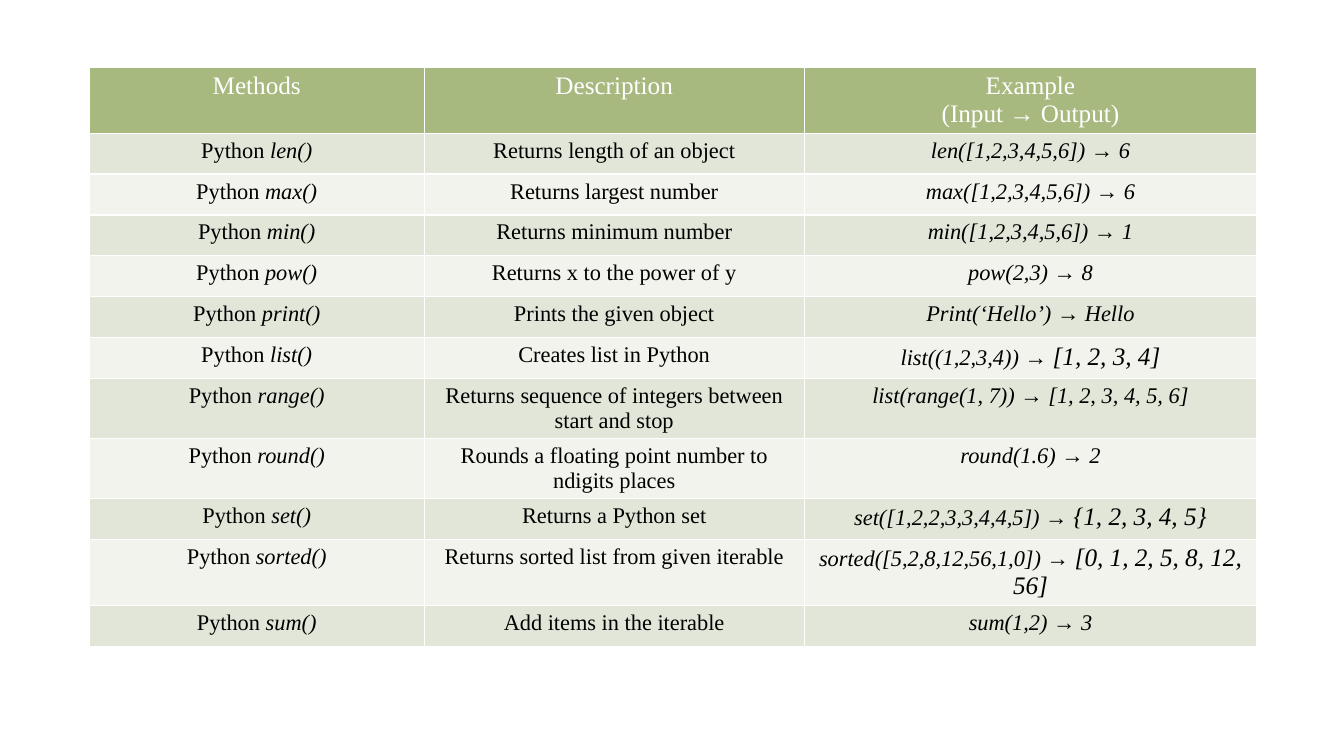
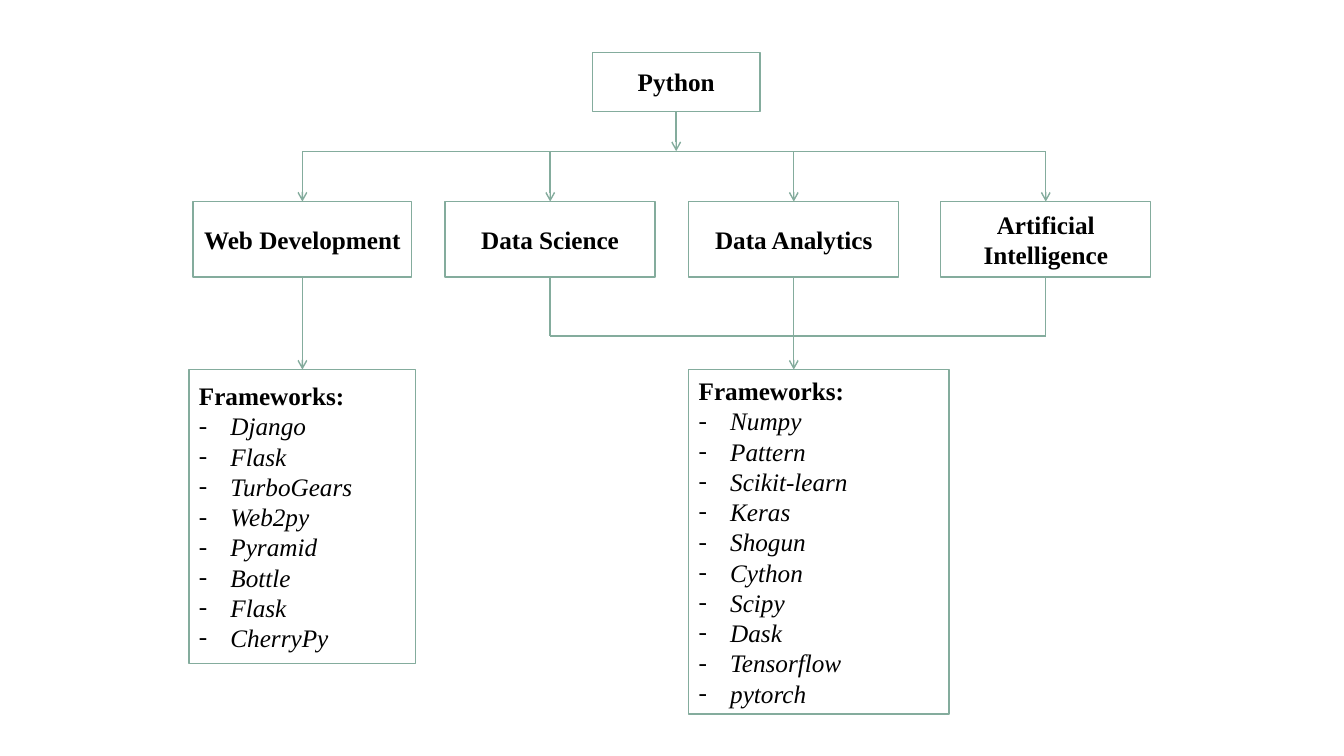
from dataclasses import dataclass

from lxml import etree
from pptx import Presentation
from pptx.dml.color import RGBColor
from pptx.enum.shapes import MSO_CONNECTOR, MSO_SHAPE
from pptx.enum.text import MSO_ANCHOR, PP_ALIGN
from pptx.oxml.ns import qn
from pptx.util import Pt

EMU_PER_PX = 9525
FONT = "Times New Roman"
COLORS = {
    "white": "FFFFFF",
    "black": "000000",
    "header": "A8B97F",
    "odd_row": "E1E6D8",
    "even_row": "F1F3EC",
    "line": "84AC9D",
}
RECTANGLE = MSO_SHAPE.RECTANGLE
STRAIGHT = MSO_CONNECTOR.STRAIGHT
CENTER, LEFT = PP_ALIGN.CENTER, PP_ALIGN.LEFT
MIDDLE = MSO_ANCHOR.MIDDLE
HEADING_SIZE, BODY_SIZE = 18, 16
BULLET_INDENT = 30


@dataclass(frozen=True)
class Method:
    name: str
    description: str
    call: str
    result: str
    result_size: int = BODY_SIZE


@dataclass(frozen=True)
class Box:
    left: int
    top: int
    width: int
    height: int
    title: str
    items: tuple[str, ...] = ()


@dataclass(frozen=True)
class Line:
    x1: int
    y1: int
    x2: int
    y2: int
    arrow: bool = False


HEADERS = ("Methods", "Description", "Example\n(Input → Output)")
TABLE_LEFT, TABLE_TOP = 85, 64
COLUMN_WIDTHS = (319, 362, 431)
ROW_HEIGHT = 39
METHODS = (
    Method("len()", "Returns length of an object", "len([1,2,3,4,5,6])", "6"),
    Method("max()", "Returns largest number", "max([1,2,3,4,5,6])", "6"),
    Method("min()", "Returns minimum number", "min([1,2,3,4,5,6])", "1"),
    Method("pow()", "Returns x to the power of y", "pow(2,3)", "8"),
    Method("print()", "Prints the given object", "Print(‘Hello’)", "Hello"),
    Method("list()", "Creates list in Python", "list((1,2,3,4))", "[1, 2, 3, 4]", HEADING_SIZE),
    Method("range()", "Returns sequence of integers between start and stop",
           "list(range(1, 7))", "[1, 2, 3, 4, 5, 6]"),
    Method("round()", "Rounds a floating point number to ndigits places", "round(1.6)", "2"),
    Method("set()", "Returns a Python set", "set([1,2,2,3,3,4,4,5])", "{1, 2, 3, 4, 5}", HEADING_SIZE),
    Method("sorted()", "Returns sorted list from given iterable",
           "sorted([5,2,8,12,56,1,0])", "[0, 1, 2, 5, 8, 12, 56]", HEADING_SIZE),
    Method("sum()", "Add items in the iterable", "sum(1,2)", "3"),
)

ROOT_TOP, ROOT_HEIGHT = 50, 56
BUS_TOP, FIELD_TOP, FIELD_HEIGHT = 144, 192, 72
FIELD_BOTTOM = FIELD_TOP + FIELD_HEIGHT
MERGE_TOP, FRAMEWORK_TOP = 320, 352
ROOT_CENTER = 644
FIELD_CENTERS = (288, 524, 756, 996)
WEB, SCIENCE, ANALYTICS, INTELLIGENCE = FIELD_CENTERS
FIELDS = (
    ("Web Development", 208),
    ("Data Science", 200),
    ("Data Analytics", 200),
    ("Artificial Intelligence", 200),
)
BOXES = (
    Box(564, ROOT_TOP, 160, ROOT_HEIGHT, "Python"),
    *(Box(center - width // 2, FIELD_TOP, width, FIELD_HEIGHT, title)
      for center, (title, width) in zip(FIELD_CENTERS, FIELDS)),
    Box(180, FRAMEWORK_TOP, 216, 280, "Frameworks:",
        ("Django", "Flask", "TurboGears", "Web2py", "Pyramid", "Bottle", "Flask", "CherryPy")),
    Box(656, FRAMEWORK_TOP, 248, 328, "Frameworks:",
        ("Numpy", "Pattern", "Scikit-learn", "Keras", "Shogun", "Cython", "Scipy", "Dask",
         "Tensorflow", "pytorch")),
)
LINES = (
    Line(WEB, BUS_TOP, INTELLIGENCE, BUS_TOP),
    Line(ROOT_CENTER, ROOT_TOP + ROOT_HEIGHT, ROOT_CENTER, BUS_TOP, True),
    *(Line(x, BUS_TOP, x, FIELD_TOP, True) for x in FIELD_CENTERS),
    Line(WEB, FIELD_BOTTOM, WEB, FRAMEWORK_TOP, True),
    Line(SCIENCE, MERGE_TOP, INTELLIGENCE, MERGE_TOP),
    Line(ANALYTICS, MERGE_TOP, ANALYTICS, FRAMEWORK_TOP, True),
    *(Line(x, FIELD_BOTTOM, x, MERGE_TOP) for x in FIELD_CENTERS[1:]),
)


def px(length: int) -> int:
    return length * EMU_PER_PX


def rgb(name: str) -> RGBColor:
    return RGBColor.from_string(COLORS[name])


def paint(shape, name: str) -> None:
    shape.fill.solid()
    shape.fill.fore_color.rgb = rgb(name)


def style_span(span, size: int, color: str = "black", bold: bool = False, italic: bool = False) -> None:
    font = span.font
    font.name, font.size = FONT, Pt(size)
    font.bold, font.italic = bold, italic
    font.color.rgb = rgb(color)


def add_span(para, text: str, size: int, italic: bool = False) -> None:
    span = para.add_run()
    span.text = text
    style_span(span, size, italic=italic)


def add_bullet(para) -> None:
    properties = para._p.get_or_add_pPr()
    properties.set("marL", str(px(BULLET_INDENT)))
    properties.set("indent", str(-px(BULLET_INDENT)))
    etree.SubElement(properties, qn("a:buFont")).set("typeface", FONT)
    etree.SubElement(properties, qn("a:buChar")).set("char", "-")


def fill_header(cell, text: str) -> None:
    paint(cell, "header")
    cell.text_frame.text = text
    for para in cell.text_frame.paragraphs:
        para.alignment = CENTER
        for span in para.runs:
            style_span(span, HEADING_SIZE, "white")


def fill_method(cells, method: Method, color: str) -> None:
    paras = []
    for cell in cells:
        paint(cell, color)
        para = cell.text_frame.paragraphs[0]
        para.alignment = CENTER
        paras.append(para)
    name, description, example = paras
    add_span(name, "Python ", BODY_SIZE)
    add_span(name, method.name, BODY_SIZE, italic=True)
    add_span(description, method.description, BODY_SIZE)
    add_span(example, f"{method.call} → ", BODY_SIZE, italic=True)
    add_span(example, method.result, method.result_size, italic=True)


def draw_methods(page) -> None:
    row_count = len(METHODS) + 1
    table = page.shapes.add_table(
        row_count, len(HEADERS), px(TABLE_LEFT), px(TABLE_TOP),
        px(sum(COLUMN_WIDTHS)), px(ROW_HEIGHT * row_count),
    ).table
    for column, width in zip(table.columns, COLUMN_WIDTHS):
        column.width = px(width)
    for cell, text in zip(table.rows[0].cells, HEADERS):
        fill_header(cell, text)
    for index, method in enumerate(METHODS, start=1):
        fill_method(table.rows[index].cells, method, "odd_row" if index % 2 else "even_row")


def draw_box(page, box: Box) -> None:
    shape = page.shapes.add_shape(RECTANGLE, px(box.left), px(box.top), px(box.width), px(box.height))
    shape.shadow.inherit = False
    paint(shape, "white")
    shape.line.color.rgb = rgb("line")
    shape.line.width = Pt(1)
    frame = shape.text_frame
    frame.word_wrap = True
    frame.vertical_anchor = MIDDLE
    frame.text = "\n".join((box.title, *box.items))
    for index, para in enumerate(frame.paragraphs):
        para.alignment = LEFT if box.items else CENTER
        is_item = index > 0
        if is_item:
            add_bullet(para)
        style_span(para.runs[0], HEADING_SIZE, bold=not is_item, italic=is_item)


def draw_line(page, line: Line) -> None:
    connector = page.shapes.add_connector(STRAIGHT, px(line.x1), px(line.y1), px(line.x2), px(line.y2))
    connector.line.color.rgb = rgb("line")
    connector.line.width = Pt(1)
    if line.arrow:
        etree.SubElement(connector.line._get_or_add_ln(), qn("a:tailEnd")).set("type", "arrow")
    etree.SubElement(connector._element.spPr, qn("a:effectLst"))


def draw_applications(page) -> None:
    for box in BOXES:
        draw_box(page, box)
    for line in LINES:
        draw_line(page, line)


def main() -> None:
    deck = Presentation()
    deck.slide_width, deck.slide_height = px(1280), px(720)
    blank = deck.slide_layouts[6]
    for draw in (draw_methods, draw_applications):
        draw(deck.slides.add_slide(blank))
    deck.save("out.pptx")


if __name__ == "__main__":
    main()
